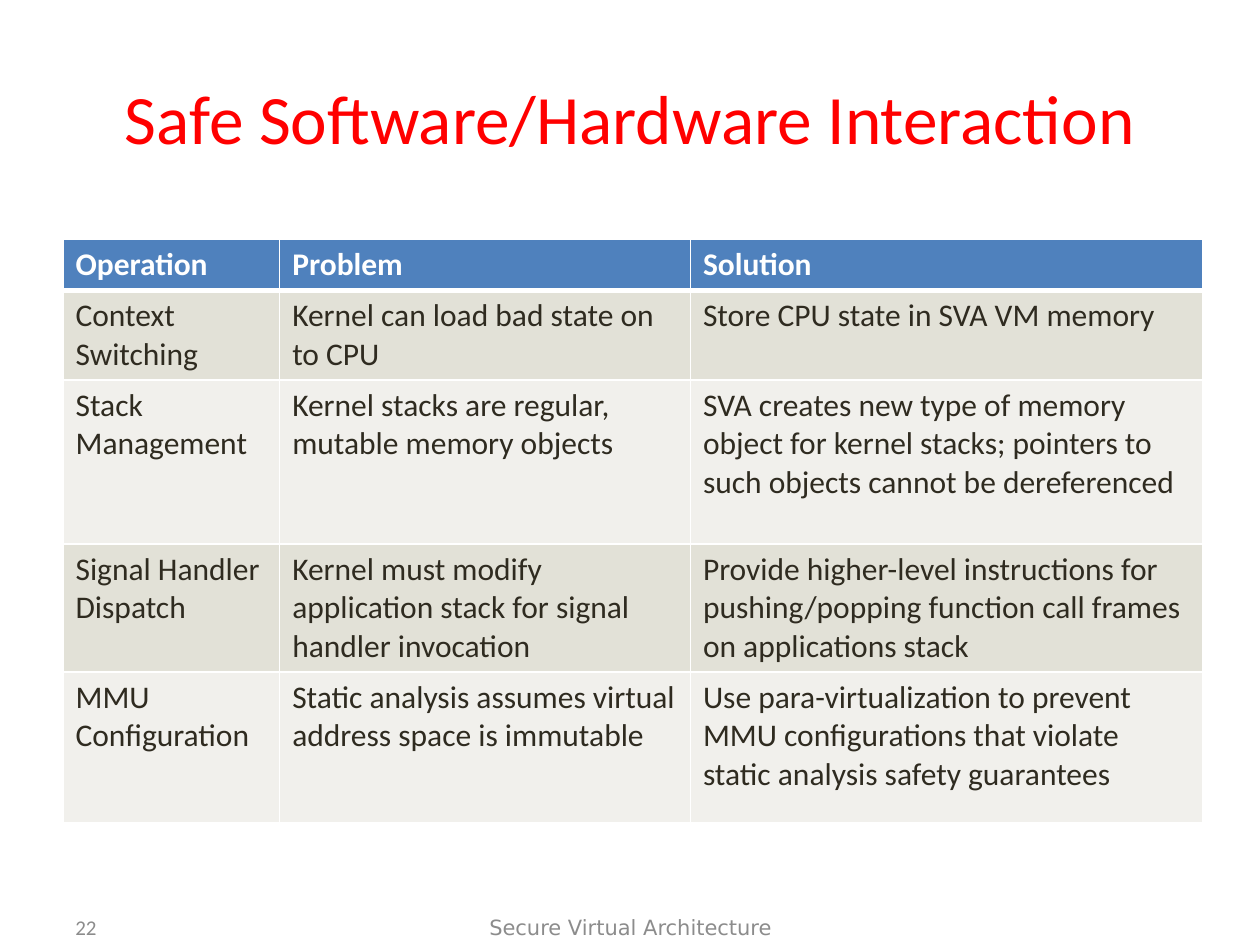
from dataclasses import dataclass

from lxml.etree import SubElement
from pptx import Presentation
from pptx.dml.color import RGBColor
from pptx.enum.text import MSO_ANCHOR, PP_ALIGN
from pptx.oxml.ns import qn
from pptx.util import Inches, Pt

WHITE, HEADER, INK = "FFFFFF", "4F81BD", "2F2B20"
BANDS = ("E2E1D7", "F1F0EC")
TITLE_RED, FOOTER_GRAY = "FF0000", "8C8C8C"

COLUMN_WIDTHS = (1.72, 3.26, 4.07)
ROW_HEIGHTS = (0.4, 0.7, 1.3, 1, 1.2)
ROWS = (
    ("Operation", "Problem", "Solution"),
    ("Context Switching", "Kernel can load bad state on to CPU",
     "Store CPU state in SVA VM memory"),
    ("Stack Management", "Kernel stacks are regular, mutable memory objects",
     "SVA creates new type of memory object for kernel stacks; "
     "pointers to such objects cannot be dereferenced"),
    ("Signal Handler Dispatch",
     "Kernel must modify application stack for signal handler invocation",
     "Provide higher-level instructions for pushing/popping function call "
     "frames on applications stack"),
    ("MMU Configuration",
     "Static analysis assumes virtual address space is immutable",
     "Use para-virtualization to prevent MMU configurations that violate "
     "static analysis safety guarantees"),
)


@dataclass
class FooterText:
    text: str
    left: float
    width: float
    font: str
    align: PP_ALIGN


FOOTERS = (
    FooterText("22", 0.5, 2.33, "Calibri", PP_ALIGN.LEFT),
    FooterText("Secure Virtual Architecture", 3.42, 3.17, "DejaVu Sans", PP_ALIGN.CENTER),
)


def color(value: str) -> RGBColor:
    return RGBColor.from_string(value)


def write(frame, text: str, size: float, ink: str, font: str = "Calibri",
          bold: bool = False, align: PP_ALIGN = PP_ALIGN.LEFT) -> None:
    para = frame.paragraphs[0]
    para.alignment = align
    span = para.add_run()
    span.text = text
    span.font.size = Pt(size)
    span.font.name = font
    span.font.bold = bold
    span.font.color.rgb = color(ink)


def add_border(cell, side: str, points: float) -> None:
    line = SubElement(cell._tc.get_or_add_tcPr(), qn(f"a:ln{side}"), w=str(Pt(points)))
    fill = SubElement(line, qn("a:solidFill"))
    SubElement(fill, qn("a:srgbClr"), val=WHITE)


def format_cell(cell, text: str, row: int) -> None:
    is_header = row == 0
    widths = {"L": 1, "R": 1, "T": 3 if row == 1 else 1, "B": 3 if is_header else 1}
    for side, points in widths.items():
        add_border(cell, side, points)
    cell.fill.solid()
    cell.fill.fore_color.rgb = color(HEADER if is_header else BANDS[(row - 1) % 2])
    write(cell.text_frame, text, 18, WHITE if is_header else INK, bold=is_header)


def add_operations_table(page) -> None:
    table = page.shapes.add_table(
        len(ROWS), len(COLUMN_WIDTHS), Inches(0.5), Inches(1.9),
        Inches(sum(COLUMN_WIDTHS)), Inches(sum(ROW_HEIGHTS))).table
    for column, width in zip(table.columns, COLUMN_WIDTHS):
        column.width = Inches(width)
    for index, (row, height, texts) in enumerate(zip(table.rows, ROW_HEIGHTS, ROWS)):
        row.height = Inches(height)
        for cell, text in zip(row.cells, texts):
            format_cell(cell, text, index)


def add_footer(page, footer: FooterText) -> None:
    box = page.shapes.add_textbox(
        Inches(footer.left), Inches(7.16), Inches(footer.width), Inches(0.4))
    frame = box.text_frame
    frame.word_wrap = True
    frame.vertical_anchor = MSO_ANCHOR.MIDDLE
    write(frame, footer.text, 12, FOOTER_GRAY, footer.font, align=footer.align)


def main() -> None:
    deck = Presentation()
    deck.slide_width, deck.slide_height = Inches(10), Inches(7.5)
    page = deck.slides.add_slide(deck.slide_layouts[5])

    title = page.shapes.title
    title.left, title.top = Inches(0.5), Inches(0.3)
    title.width, title.height = Inches(9), Inches(1.25)
    title.text_frame.vertical_anchor = MSO_ANCHOR.MIDDLE
    write(title.text_frame, "Safe Software/Hardware Interaction", 39.6, TITLE_RED,
          align=PP_ALIGN.CENTER)

    add_operations_table(page)
    for footer in FOOTERS:
        add_footer(page, footer)
    deck.save("out.pptx")


if __name__ == "__main__":
    main()
